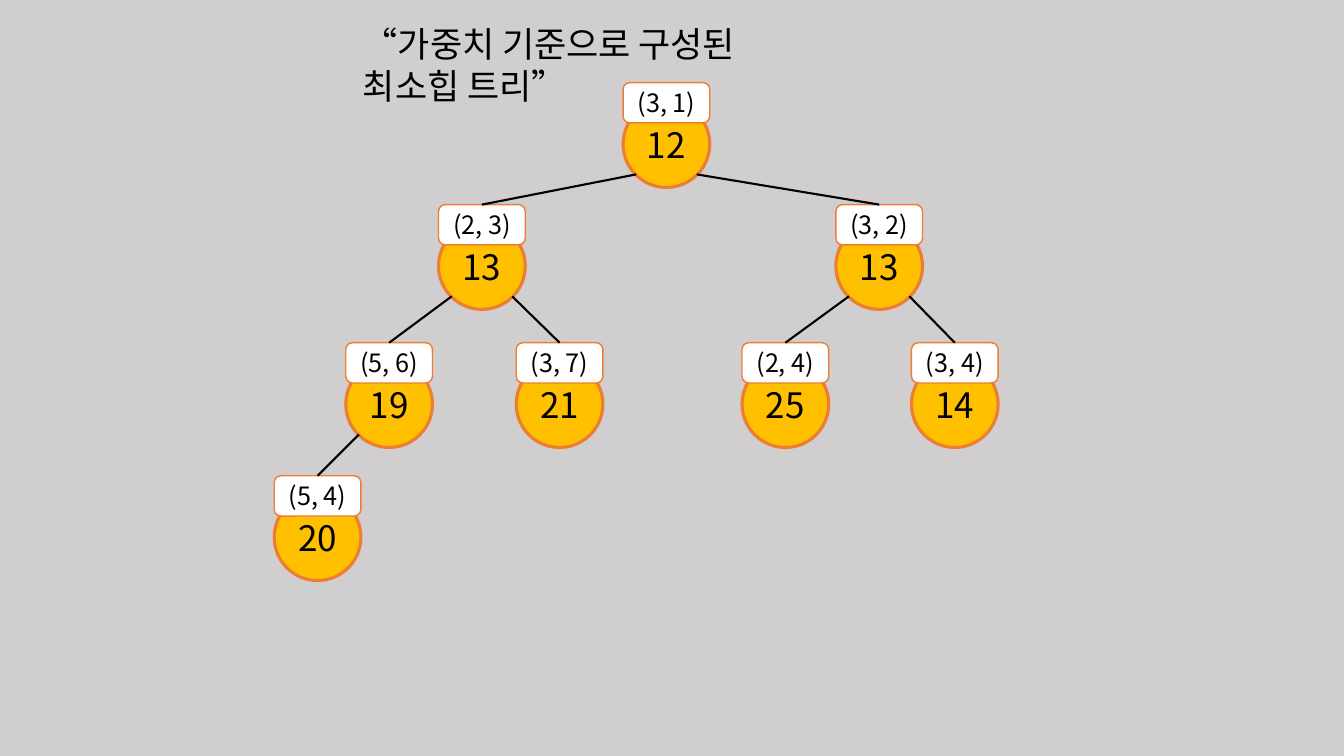
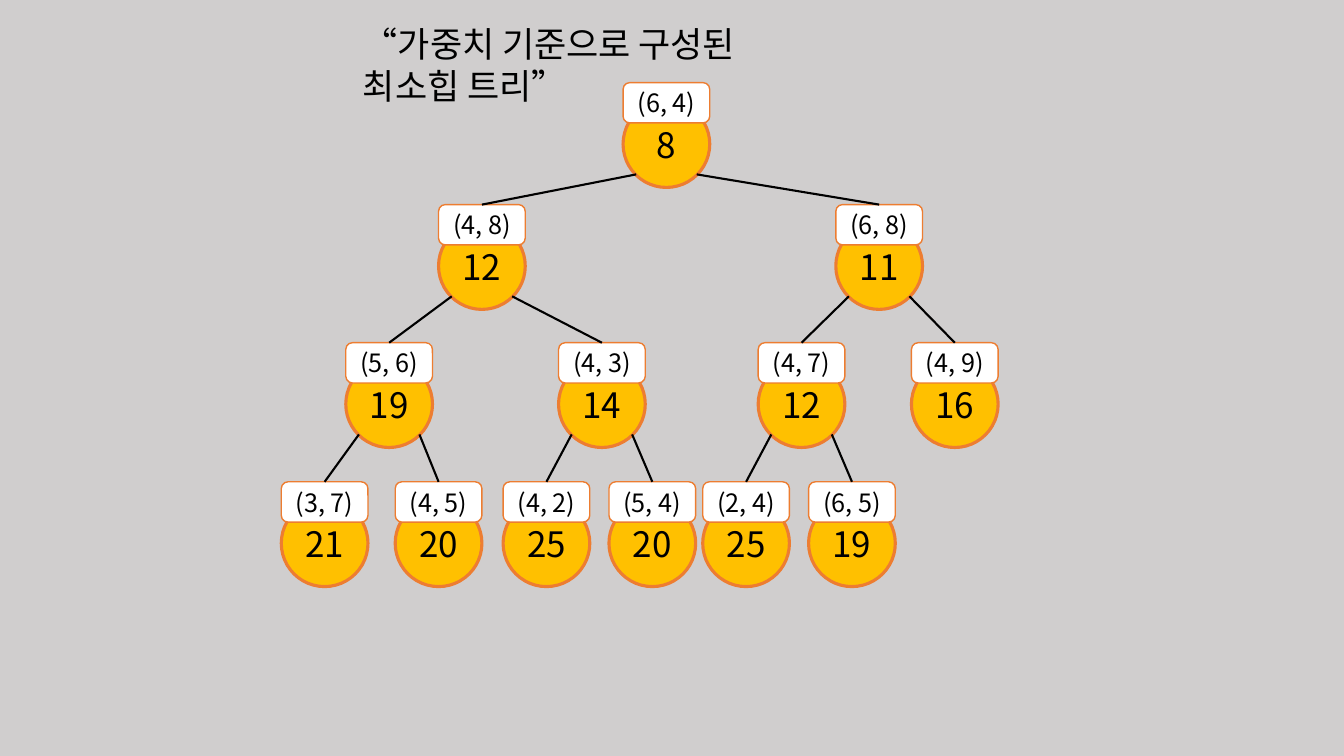
import dataclasses
import typing

import lxml.etree
import pptx
import pptx.dml.color
import pptx.enum.shapes
import pptx.enum.text
import pptx.oxml.ns
import pptx.util

Inches = pptx.util.Inches
Pt = pptx.util.Pt
RGB = pptx.dml.color.RGBColor
Kind = pptx.enum.shapes.MSO_SHAPE
Align = pptx.enum.text.PP_ALIGN
Anchor = pptx.enum.text.MSO_ANCHOR
Fit = pptx.enum.text.MSO_AUTO_SIZE

GREY = RGB(0xD0, 0xCE, 0xCE)
GOLD = RGB(0xFF, 0xC0, 0x00)
RUST = RGB(0xED, 0x7D, 0x31)
WHITE = RGB(0xFF, 0xFF, 0xFF)
BLACK = RGB(0x00, 0x00, 0x00)
FONT = "Noto Sans CJK KR"
TITLE = "“가중치 기준으로 구성된 최소힙 트리”"

SIDE = 0.86
TAG = 0.4
DROP = 0.18
REACH = 0.3

FLUSH = {"margin_left": 0, "margin_right": 0, "margin_top": 0, "margin_bottom": 0,
         "vertical_anchor": Anchor.MIDDLE, "word_wrap": True}
HEAD = {"vertical_anchor": Anchor.TOP, "word_wrap": True,
        "auto_size": Fit.SHAPE_TO_FIT_TEXT}
PLACE = {"left": Inches(3.5), "top": Inches(0.17),
         "width": Inches(4.76), "height": Inches(0.52)}


@dataclasses.dataclass(frozen=True)
class Node:
    left: float
    weight: int
    edge: str


@dataclasses.dataclass(frozen=True)
class Style:
    kind: Kind
    tall: float
    fill: RGB
    line: float
    size: int


DISC = Style(Kind.OVAL, SIDE, GOLD, 2.25, 25)
LABEL = Style(Kind.ROUNDED_RECTANGLE, TAG, WHITE, 1, 18)

FIRST = [
    Node(6.18, 12, "(3, 1)"),
    Node(4.35, 13, "(2, 3)"), Node(8.29, 13, "(3, 2)"),
    Node(3.43, 19, "(5, 6)"), Node(5.12, 21, "(3, 7)"),
    Node(7.36, 25, "(2, 4)"), Node(9.04, 14, "(3, 4)"),
    Node(2.72, 20, "(5, 4)"),
]
SECOND = [
    Node(6.18, 8, "(6, 4)"),
    Node(4.35, 12, "(4, 8)"), Node(8.29, 11, "(6, 8)"),
    Node(3.43, 19, "(5, 6)"), Node(5.54, 14, "(4, 3)"),
    Node(7.52, 12, "(4, 7)"), Node(9.04, 16, "(4, 9)"),
    Node(2.79, 21, "(3, 7)"), Node(3.92, 20, "(4, 5)"),
    Node(4.99, 25, "(4, 2)"), Node(6.04, 20, "(5, 4)"),
    Node(6.97, 25, "(2, 4)"), Node(8.02, 19, "(6, 5)"),
]
TREES = [
    (FIRST, [0.82, 2.03, 3.4, 4.72]),
    (SECOND, [0.82, 2.03, 3.4, 4.78]),
]


def apply(item: typing.Any, values: dict[str, typing.Any]) -> None:
    for name, value in values.items():
        setattr(item, name, value)


def write(frame: typing.Any, text: str, size: int, align: Align) -> typing.Any:
    para = frame.paragraphs[0]
    para.alignment = align
    run = para.add_run()
    run.text = text
    apply(run.font, {"name": FONT, "size": Pt(size), "bold": False})
    run.font.color.rgb = BLACK
    east = lxml.etree.SubElement(run._r.get_or_add_rPr(), pptx.oxml.ns.qn("a:ea"))
    east.set("typeface", FONT)
    return para


def draw(group: typing.Any, style: Style, left: float, top: float, text: str) -> typing.Any:
    shape = group.shapes.add_shape(
        style.kind, Inches(left), Inches(top), Inches(SIDE), Inches(style.tall))
    shape.shadow.inherit = False
    shape.fill.solid()
    shape.fill.fore_color.rgb = style.fill
    shape.line.color.rgb = RUST
    shape.line.width = Pt(style.line)
    apply(shape.text_frame, FLUSH)
    write(shape.text_frame, text, style.size, Align.CENTER)
    return shape


def link(slide: typing.Any, disc: typing.Any, label: typing.Any, side: int) -> None:
    start_x = disc.left + disc.width // 2 + side * Inches(REACH)
    start_y = disc.top + disc.height // 2 + Inches(REACH)
    line = slide.shapes.add_connector(
        pptx.enum.shapes.MSO_CONNECTOR.STRAIGHT, start_x, start_y, label.left, label.top)
    line.end_connect(label, 0)
    line.line.color.rgb = BLACK
    line.line.width = Pt(1.5)
    lxml.etree.SubElement(line._element.spPr, pptx.oxml.ns.qn("a:effectLst"))


def plant(slide: typing.Any, nodes: list[Node], tops: list[float]) -> None:
    discs = []
    for index, node in enumerate(nodes):
        top = tops[(index + 1).bit_length() - 1]
        group = slide.shapes.add_group_shape()
        discs.append(draw(group, DISC, node.left, top + DROP, str(node.weight)))
        label = draw(group, LABEL, node.left, top, node.edge)
        if index:
            link(slide, discs[(index - 1) // 2], label, -1 if index % 2 else 1)


def head(slide: typing.Any) -> None:
    title = slide.shapes.title
    apply(title, PLACE)
    apply(title.text_frame, HEAD)
    para = write(title.text_frame, TITLE, 25, Align.LEFT)
    para.line_spacing = Pt(30)


def main() -> None:
    deck = pptx.Presentation()
    apply(deck, {"slide_width": Inches(13.33), "slide_height": Inches(7.5)})
    back = deck.slide_master.background.fill
    back.solid()
    back.fore_color.rgb = GREY
    for nodes, tops in TREES:
        slide = deck.slides.add_slide(deck.slide_layouts[5])
        head(slide)
        plant(slide, nodes, tops)
    deck.save("out.pptx")


if __name__ == "__main__":
    main()
